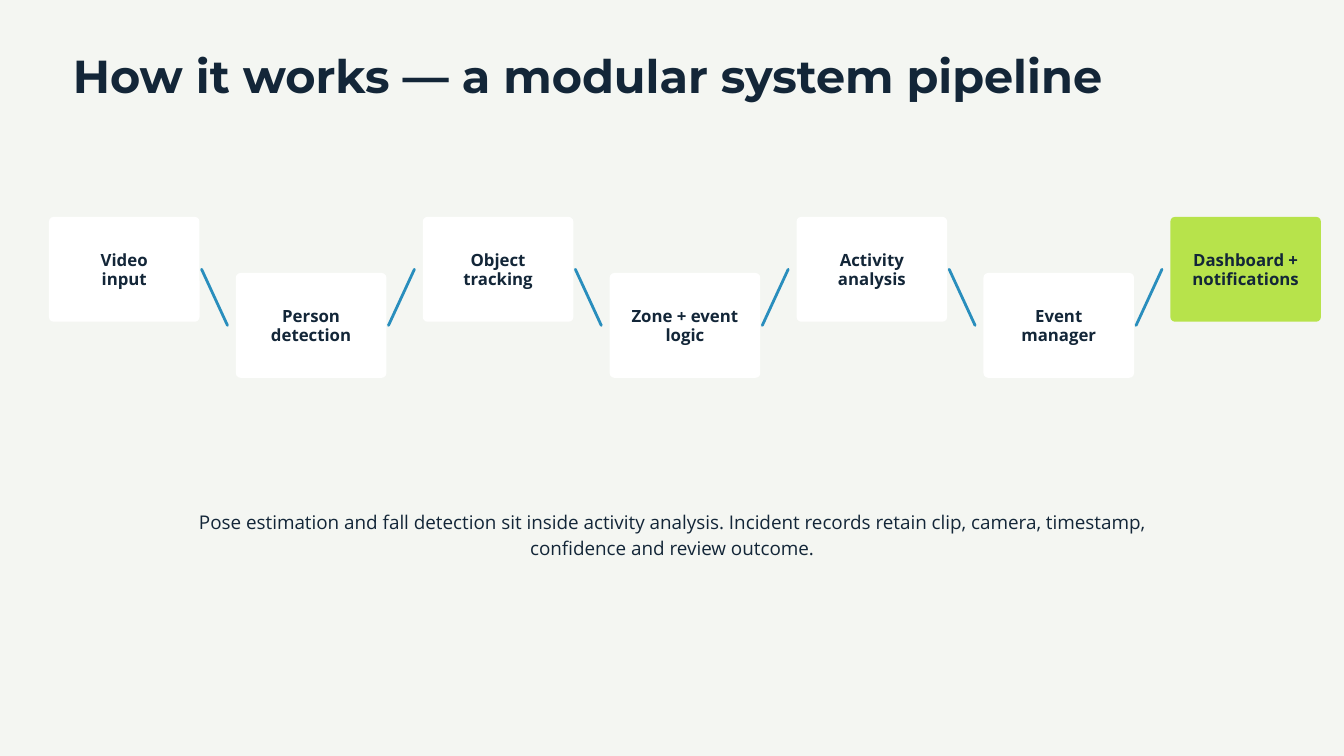
from dataclasses import dataclass

from lxml.etree import SubElement
from pptx import Presentation
from pptx.dml.color import RGBColor
from pptx.enum.shapes import MSO_CONNECTOR as Connector, MSO_SHAPE as Shape
from pptx.enum.text import MSO_ANCHOR as Anchor, MSO_AUTO_SIZE as AutoSize, PP_ALIGN as Align
from pptx.oxml.ns import qn
from pptx.util import Pt

INK, WHITE, LIME, BLUE, PAPER = "132638", "FFFFFF", "B7E34B", "298EBD", "F4F6F2"

# Pipeline geometry, in points
FIRST_LEFT, STEP = 52.5, 200.25
UPPER_TOP, DROP = 232.4, 60.1
CARD_WIDTH, CARD_HEIGHT, CORNER = 161.3, 112.3, 5
GAP_AFTER, GAP_BEFORE = 2.2, 9


@dataclass
class Stage:
    lines: tuple[str, ...]
    left: float
    top: float
    fill: str = WHITE

    @property
    def right(self) -> float:
        return self.left + CARD_WIDTH

    @property
    def middle(self) -> float:
        return self.top + CARD_HEIGHT / 2


@dataclass
class TextStyle:
    size: float
    font: str
    spacing: float
    bold: bool
    align: Align


HEADING = TextStyle(49.5, "Montserrat", 52, True, Align.LEFT)
LABEL = TextStyle(18, "Open Sans", 19.8, True, Align.CENTER)
BODY = TextStyle(20.2, "Open Sans", 27.3, False, Align.CENTER)


def colour(fill_format, value: str) -> None:
    fill_format.solid()
    fill_format.fore_color.rgb = RGBColor.from_string(value)


def set_all(target, values: dict) -> None:
    for name, value in values.items():
        setattr(target, name, value)


def write(frame, lines: tuple[str, ...], style: TextStyle) -> None:
    for index, line in enumerate(lines):
        paragraph = frame.add_paragraph() if index else frame.paragraphs[0]
        set_all(paragraph, {"alignment": style.align, "line_spacing": Pt(style.spacing)})
        run = paragraph.add_run()
        run.text = line
        set_all(run.font, {"name": style.font, "size": Pt(style.size), "bold": style.bold})
        colour(run.font.fill, INK)


def add_text(slide, box: tuple[float, ...], text: str, style: TextStyle) -> None:
    frame = slide.shapes.add_textbox(*map(Pt, box)).text_frame
    set_all(frame, {"word_wrap": True, "auto_size": AutoSize.SHAPE_TO_FIT_TEXT,
                    "margin_left": 0, "margin_right": 0, "margin_top": 0, "margin_bottom": 0})
    write(frame, (text,), style)


def add_card(slide, stage: Stage) -> None:
    box = (stage.left, stage.top, CARD_WIDTH, CARD_HEIGHT)
    card = slide.shapes.add_shape(Shape.ROUNDED_RECTANGLE, *map(Pt, box))
    card.adjustments[0] = CORNER / CARD_HEIGHT
    card.shadow.inherit = False
    colour(card.fill, stage.fill)
    card.line.fill.background()
    set_all(card.text_frame, {"word_wrap": True, "vertical_anchor": Anchor.MIDDLE,
                              "margin_left": Pt(4.5), "margin_right": Pt(4.5),
                              "margin_top": Pt(6), "margin_bottom": Pt(4.5)})
    write(card.text_frame, stage.lines, LABEL)


def add_link(slide, source: Stage, target: Stage) -> None:
    ends = (source.right + GAP_AFTER, source.middle, target.left - GAP_BEFORE, target.middle)
    link = slide.shapes.add_connector(Connector.STRAIGHT, *map(Pt, ends))
    link.line.width = Pt(3)
    colour(link.line.fill, BLUE)
    properties = link._element.spPr
    properties.find(qn("a:ln")).set("cap", "rnd")
    SubElement(properties, qn("a:effectLst"))


def main() -> None:
    deck = Presentation()
    set_all(deck, {"slide_width": Pt(1440), "slide_height": Pt(810)})
    slide = deck.slides.add_slide(deck.slide_layouts[6])
    colour(slide.background.fill, PAPER)

    # Title
    add_text(slide, (78, 58.3, 1284, 53), "How it works — a modular system pipeline", HEADING)

    # Pipeline: stages alternate between two levels, the last one is highlighted
    names = (("Video", "input"), ("Person", "detection"), ("Object", "tracking"),
             ("Zone + event", "logic"), ("Activity", "analysis"), ("Event", "manager"),
             ("Dashboard +", "notifications"))
    stages = [Stage(lines, FIRST_LEFT + i * STEP, UPPER_TOP + i % 2 * DROP)
              for i, lines in enumerate(names)]
    stages[-1].fill = LIME
    for stage in stages:
        add_card(slide, stage)
    for source, target in zip(stages, stages[1:]):
        add_link(slide, source, target)

    # Explanation
    add_text(slide, (180, 544.5, 1080, 54),
             "Pose estimation and fall detection sit inside activity analysis. "
             "Incident records retain clip, camera, timestamp, confidence and review outcome.", BODY)

    deck.save("out.pptx")


if __name__ == "__main__":
    main()
